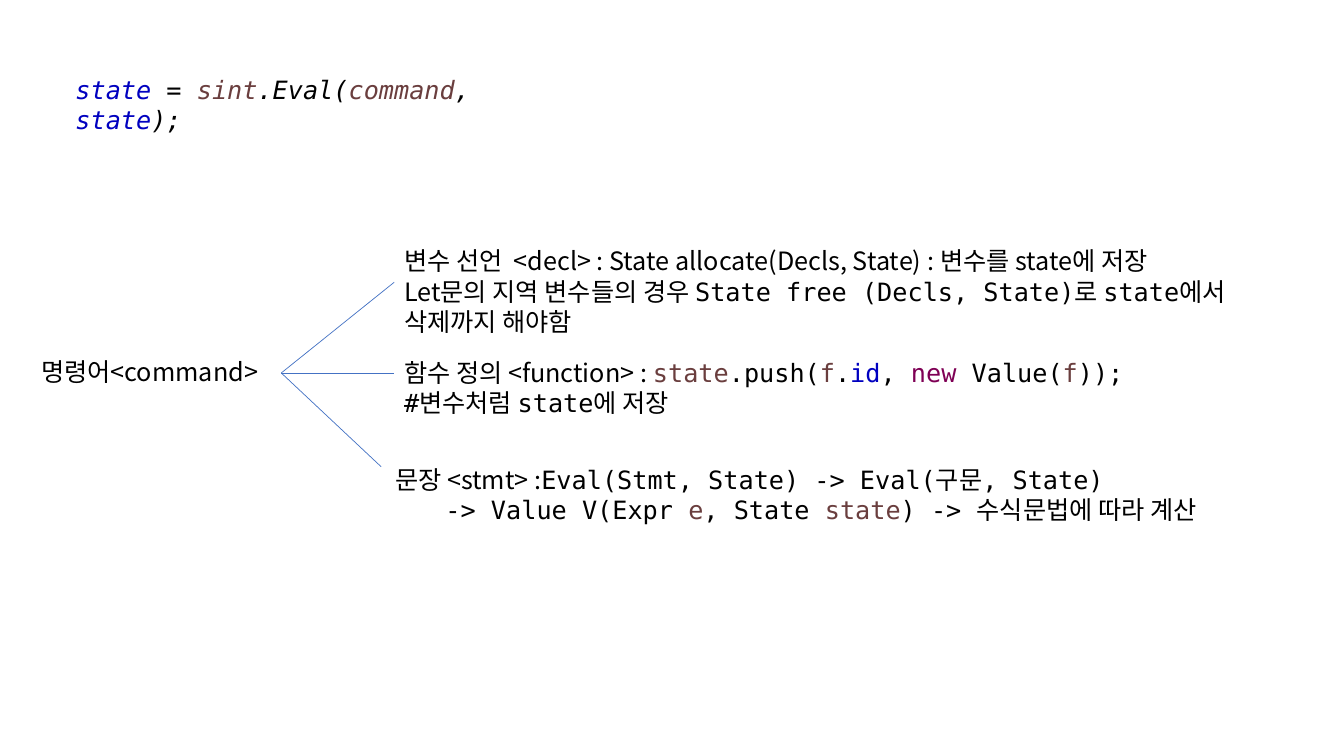
import pptx
import pptx.util
import pptx.dml.color
import pptx.enum.shapes
import pptx.enum.text
import pptx.oxml.ns
from lxml import etree

PX = 9144  # EMU per px, 100 px to the inch
THEME = {
    "sans": "Noto Sans CJK KR", "mono": "DejaVu Sans Mono",
    "size": 18, "pitch": 21.5, "line_width": 0.5,
    "text": "000000", "variable": "6A3E3E", "field": "0000C0",
    "keyword": "7F0055", "branch": "4472C4",
}

deck = pptx.Presentation()
deck.slide_width, deck.slide_height = 1333 * PX, 750 * PX
slide = deck.slides.add_slide(deck.slide_layouts[6])


def add_text(paragraphs, at, italic=None):
    """Each paragraph is a list of (text, font, colour) runs."""
    box = slide.shapes.add_textbox(*(length * PX for length in at))
    frame = box.text_frame
    frame.word_wrap = True
    frame.auto_size = pptx.enum.text.MSO_AUTO_SIZE.SHAPE_TO_FIT_TEXT
    for index, runs in enumerate(paragraphs):
        paragraph = frame.add_paragraph() if index else frame.paragraphs[0]
        paragraph.line_spacing = pptx.util.Pt(THEME["pitch"])
        for text, font, colour in runs:
            run = paragraph.add_run()
            run.text = text
            run.font.name = THEME[font]
            run.font.size = pptx.util.Pt(THEME["size"])
            run.font.italic = italic
            run.font.color.rgb = pptx.dml.color.RGBColor.from_string(THEME[colour])
            east_asian = etree.SubElement(run.font._element, pptx.oxml.ns.qn("a:ea"))
            east_asian.set("typeface", THEME["sans"])
    return box


# Root of the tree
command = add_text([[("명령어<command>", "sans", "text")]], (31, 349, 248, 42))

# Branches to declaration, statement and function
for end_x, end_y in [(391, 280), (378, 463), (391, 370)]:
    branch = slide.shapes.add_connector(
        pptx.enum.shapes.MSO_CONNECTOR.STRAIGHT,
        279 * PX, 370 * PX, end_x * PX, end_y * PX)
    branch.begin_connect(command, 3)
    branch.line.color.rgb = pptx.dml.color.RGBColor.from_string(THEME["branch"])
    branch.line.width = pptx.util.Pt(THEME["line_width"])
    etree.SubElement(branch._element.spPr, pptx.oxml.ns.qn("a:effectLst"))

# Variable declaration
add_text([
    [("변수 선언  <decl> : State allocate(Decls, State) : 변수를 state에 저장", "sans", "text")],
    [("Let문의 지역 변수들의 경우 ", "sans", "text"),
     ("State free (Decls, State)로 state에서 삭제까지 해야함", "mono", "text")],
], (391, 239, 844, 101))

# Function definition
add_text([
    [("함수 정의 <function> : ", "sans", "text"),
     ("state", "mono", "variable"), (".push(", "mono", "text"),
     ("f", "mono", "variable"), (".", "mono", "text"),
     ("id", "mono", "field"), (", ", "mono", "text"),
     ("new", "mono", "keyword"), (" Value(", "mono", "text"),
     ("f", "mono", "variable"), ("));", "mono", "text")],
    [("#변수처럼 state에 저장", "mono", "text")],
], (391, 350, 844, 71))

# Statement
add_text([
    [("문장 <stmt> :", "sans", "text"),
     ("Eval(Stmt, State) -> Eval(구문, State)", "mono", "text")],
    [("\t-> Value V(Expr ", "mono", "text"), ("e", "mono", "variable"),
     (", State ", "mono", "text"), ("state", "mono", "variable"),
     (") -> 수식문법에 따라 계산", "mono", "text")],
], (382, 456, 894, 71))

# Evaluation call
add_text([
    [("state", "mono", "field"), (" = ", "mono", "text"),
     ("sint", "mono", "variable"), (".Eval(", "mono", "text"),
     ("command", "mono", "variable"), (", ", "mono", "text"),
     ("state", "mono", "field"), (");", "mono", "text")],
], (65, 69, 504, 40), italic=True)

deck.save("out.pptx")
